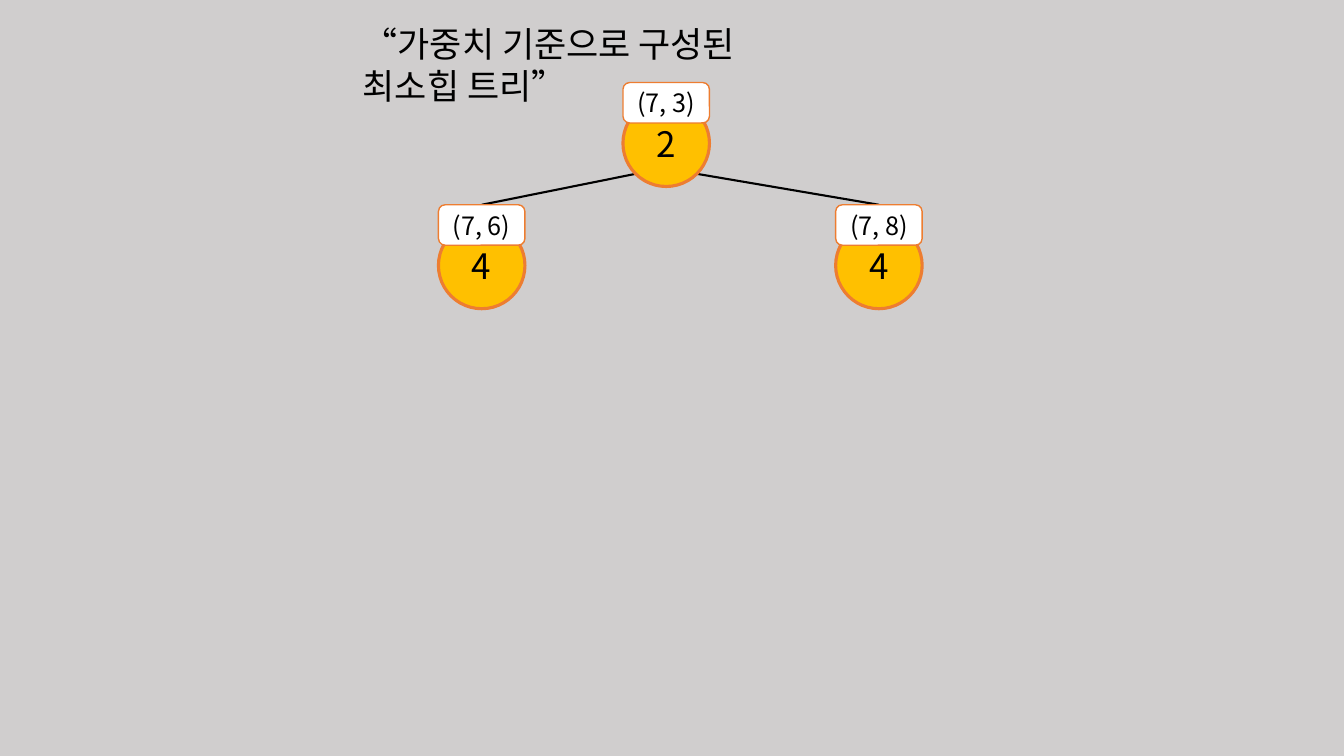
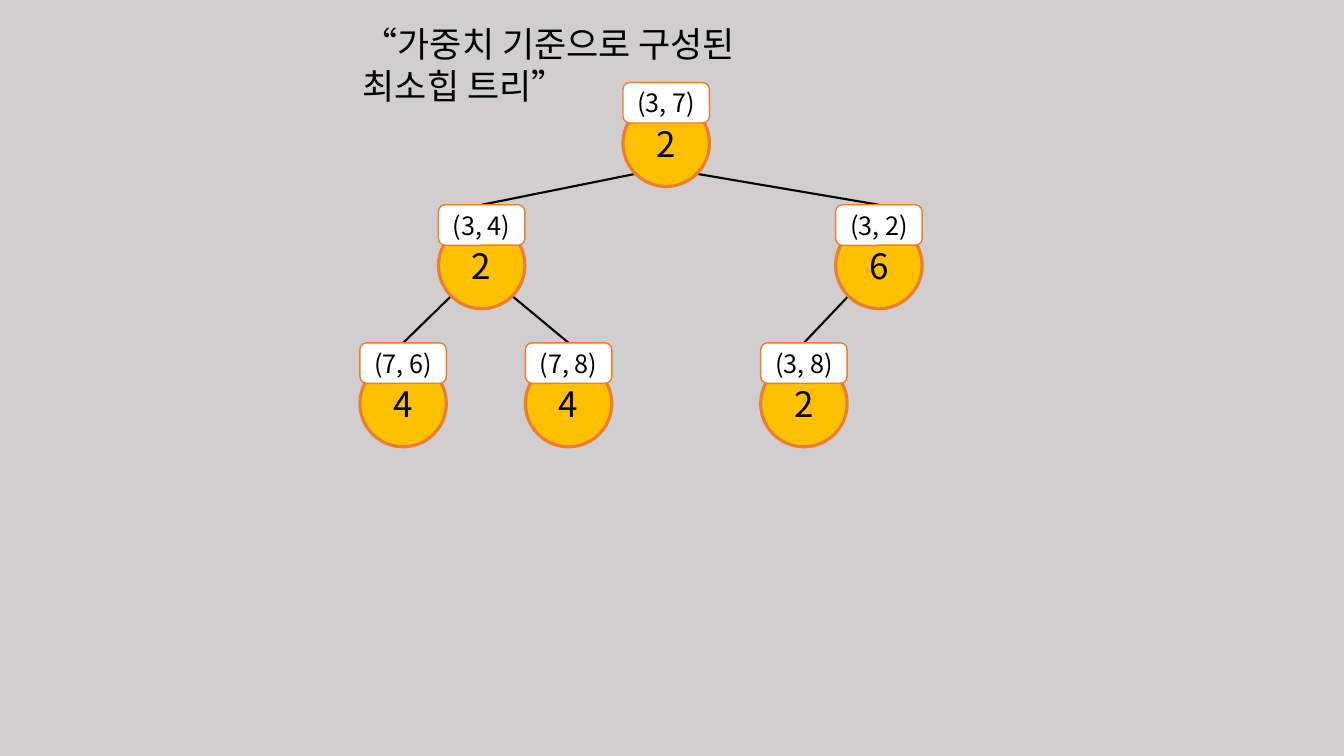
from lxml import etree
from pptx import Presentation
from pptx import util as u
from pptx.dml.color import RGBColor
from pptx.enum import shapes, text
from pptx.oxml.ns import qn

FONT = "Noto Sans CJK KR"
BACKDROP, BLACK, WHITE = "D0CECE", "000000", "FFFFFF"
AMBER, ORANGE = "FFC000", "ED7D31"

TITLE = "“가중치 기준으로 구성된 최소힙 트리”"
DIAMETER, LABEL_HEIGHT, CIRCLE_DROP = 2.18, 1.02, 0.44
# Centre and top of each heap position, in centimetres
LEVEL_TOPS = (2.08, 5.16, 8.64)
LEVEL_CENTRES = ((16.79,), (12.14, 22.15), (10.16, 14.33, 20.26))
POSITIONS = [(centre, top) for top, row in zip(LEVEL_TOPS, LEVEL_CENTRES)
             for centre in row]

# Each heap lists (edge, weight) in array order
HEAPS = (
    (("(7, 3)", 2), ("(7, 6)", 4), ("(7, 8)", 4)),
    (("(3, 7)", 2), ("(3, 4)", 2), ("(3, 2)", 6),
     ("(7, 6)", 4), ("(7, 8)", 4), ("(3, 8)", 2)),
)


def colour(value):
    return RGBColor.from_string(value)


class HeapDeck:
    def __init__(self):
        self.deck = Presentation()
        self.deck.slide_width, self.deck.slide_height = u.Cm(33.87), u.Cm(19.05)
        fill = self.deck.slide_master.background.fill
        fill.solid()
        fill.fore_color.rgb = colour(BACKDROP)
        self.page = None

    def add_page(self, title):
        self.page = self.deck.slides.add_slide(self.deck.slide_layouts[5])
        box = self.page.shapes.title
        box.left, box.top = u.Cm(8.89), u.Cm(0.43)
        box.width, box.height = u.Cm(12.09), u.Cm(1.32)
        box.text_frame.auto_size = text.MSO_AUTO_SIZE.SHAPE_TO_FIT_TEXT
        self.add_words(box, title, 25, text.PP_ALIGN.LEFT, text.MSO_ANCHOR.TOP)

    def add_words(self, box, words, size, align=text.PP_ALIGN.CENTER,
                  anchor=text.MSO_ANCHOR.MIDDLE):
        frame = box.text_frame
        frame.word_wrap = True
        frame.vertical_anchor = anchor
        para = frame.paragraphs[0]
        para.alignment = align
        span = para.add_run()
        span.text = words
        span.font.size = u.Pt(size)
        span.font.color.rgb = colour(BLACK)
        span.font.name = FONT
        east_asian = etree.SubElement(span.font._element, qn("a:ea"))
        east_asian.set("typeface", FONT)

    def add_branch(self, index):
        """Draw the line from a node's parent down to the node."""
        centre, top = POSITIONS[index]
        parent_centre, parent_top = POSITIONS[(index - 1) // 2]
        reach = DIAMETER / 2 * 0.5 ** 0.5
        side = -1 if index % 2 else 1
        start_y = parent_top + CIRCLE_DROP + DIAMETER / 2 + reach
        branch = self.page.shapes.add_connector(
            shapes.MSO_CONNECTOR.STRAIGHT,
            u.Cm(parent_centre + side * reach), u.Cm(start_y),
            u.Cm(centre), u.Cm(top))
        branch.line.color.rgb = colour(BLACK)
        branch.line.width = u.Pt(1.5)
        etree.SubElement(branch._element.spPr, qn("a:effectLst"))
        return branch

    def add_part(self, group, kind, at, size, fill, line_width, words, text_size):
        part = group.shapes.add_shape(kind, *map(u.Cm, at + size))
        part.shadow.inherit = False
        part.fill.solid()
        part.fill.fore_color.rgb = colour(fill)
        part.line.color.rgb = colour(ORANGE)
        part.line.width = u.Pt(line_width)
        self.add_words(part, words, text_size)
        return part

    def add_node(self, index, edge, weight):
        """Draw a weight circle under its edge label; return the label."""
        centre, top = POSITIONS[index]
        left = centre - DIAMETER / 2
        group = self.page.shapes.add_group_shape()
        self.add_part(group, shapes.MSO_SHAPE.OVAL, (left, top + CIRCLE_DROP),
                      (DIAMETER, DIAMETER), AMBER, 2.25, str(weight), 25)
        return self.add_part(group, shapes.MSO_SHAPE.ROUNDED_RECTANGLE, (left, top),
                             (DIAMETER, LABEL_HEIGHT), WHITE, 1, edge, 18)

    def add_heap(self, heap):
        branches = [self.add_branch(index) for index in range(1, len(heap))]
        labels = [self.add_node(index, *node) for index, node in enumerate(heap)]
        for branch, label in zip(branches, labels[1:]):
            branch.end_connect(label, 0)


def main():
    slides = HeapDeck()
    for heap in HEAPS:
        slides.add_page(TITLE)
        slides.add_heap(heap)
    slides.deck.save("out.pptx")


if __name__ == "__main__":
    main()
